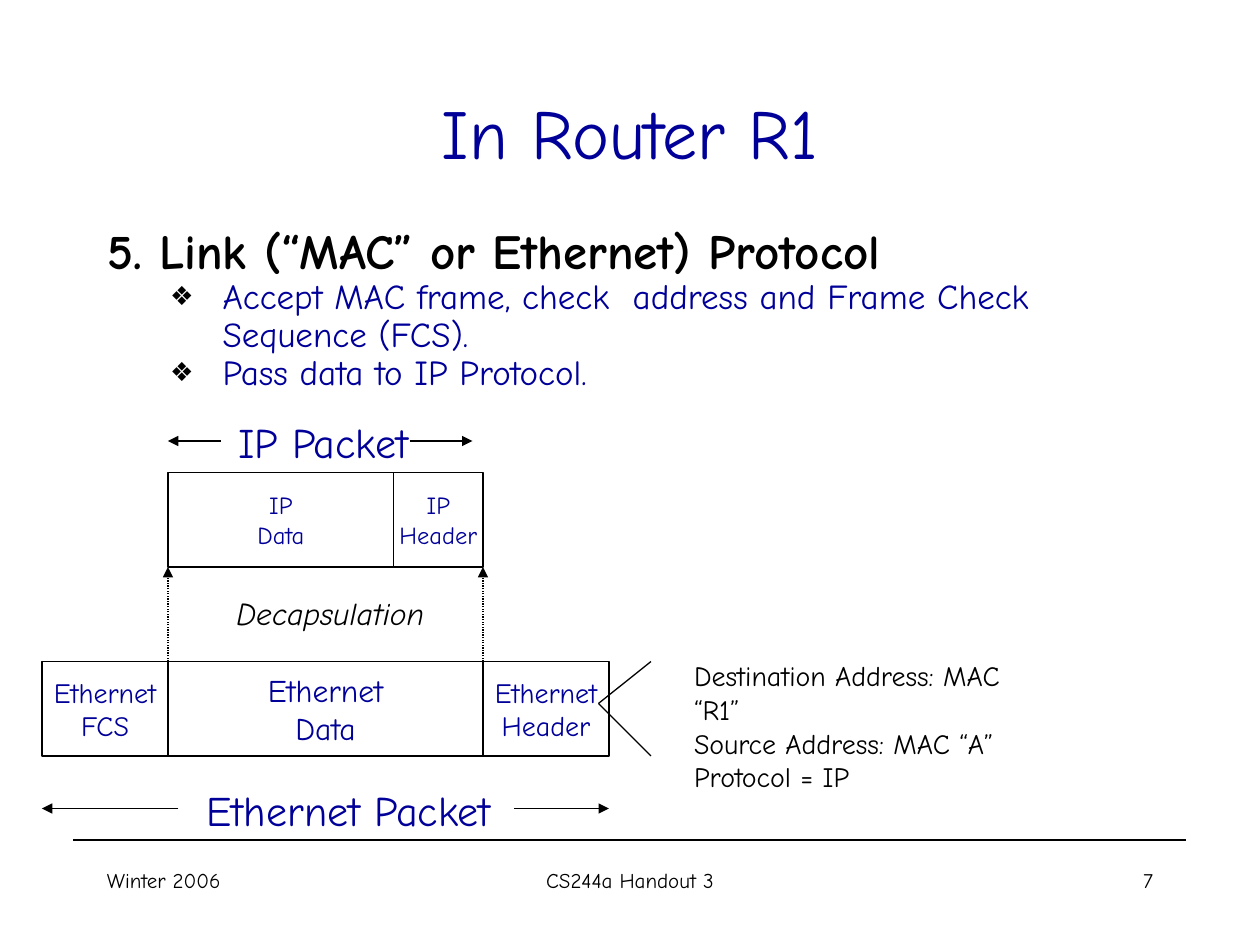
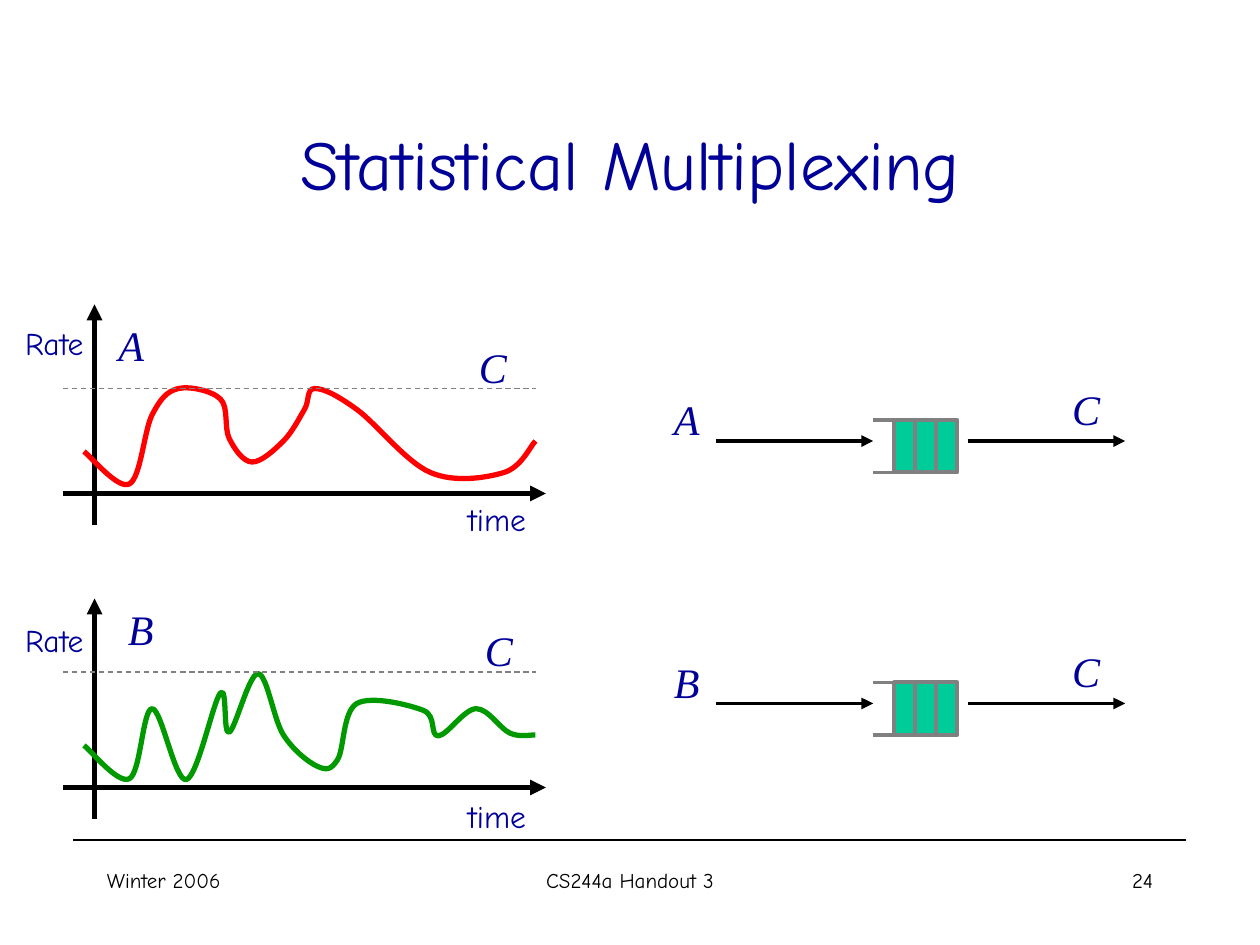
from dataclasses import dataclass

from lxml import etree
from pptx import Presentation
from pptx.dml.color import RGBColor
from pptx.enum.dml import MSO_LINE
from pptx.enum.shapes import MSO_CONNECTOR, MSO_SHAPE
from pptx.enum.text import MSO_ANCHOR, MSO_AUTO_SIZE, PP_ALIGN
from pptx.oxml.ns import qn
from pptx.util import Pt

LEFT, CENTER, RIGHT = PP_ALIGN.LEFT, PP_ALIGN.CENTER, PP_ALIGN.RIGHT
MIDDLE = MSO_ANCHOR.MIDDLE
NO_FIT, GROW = MSO_AUTO_SIZE.NONE, MSO_AUTO_SIZE.SHAPE_TO_FIT_TEXT
STRAIGHT, RECT = MSO_CONNECTOR.STRAIGHT, MSO_SHAPE.RECTANGLE
DASH, DOT = MSO_LINE.DASH, MSO_LINE.ROUND_DOT
TITLE_AND_BODY, TITLE_ONLY = 1, 5


@dataclass(frozen=True)
class Theme:
    font: str = "Comic Neue"
    math_font: str = "Times New Roman"
    ink: RGBColor = RGBColor(0, 0, 0)
    navy: RGBColor = RGBColor(0, 0, 0x99)
    white: RGBColor = RGBColor(255, 255, 255)
    gray: RGBColor = RGBColor(0x80, 0x80, 0x80)
    teal: RGBColor = RGBColor(0, 0xCC, 0x99)
    red: RGBColor = RGBColor(255, 0, 0)
    green: RGBColor = RGBColor(0, 0x99, 0)
    title: int = 40
    heading: int = 28
    label: int = 24
    bullet: int = 20
    text: int = 18
    detail: int = 16
    small: int = 14
    footer: int = 12
    thin: float = 0.75
    medium: float = 2.25
    thick: float = 3


T = Theme()


def set_font(p, size, color, **extra):
    values = {"name": T.font, "size": Pt(size), "bold": False, **extra}
    for r in p.runs:
        for name, value in values.items():
            setattr(r.font, name, value)
        r.font.color.rgb = color


def write(tf, lines, size, color=T.navy, align=LEFT, **extra):
    for i, line in enumerate(lines):
        p = tf.add_paragraph() if i else tf.paragraphs[0]
        p.text, p.alignment = line, align
        set_font(p, size, color, **extra)


def place(sp, box):
    for name, value in zip(("left", "top", "width", "height"), box):
        setattr(sp, name, Pt(value))


def add_label(slide, box, lines, size, wrap=False, **style):
    tf = slide.shapes.add_textbox(*map(Pt, box)).text_frame
    tf.word_wrap = wrap
    tf.auto_size = NO_FIT if wrap else GROW
    write(tf, lines, size, **style)


def add_symbol(slide, left, top, letter):
    add_label(slide, (left, top, 29, 36), [letter], T.label,
              name=T.math_font, italic=True)


def add_line(shapes, start, end, color=T.ink, weight=T.thin, arrow=False,
             dash=None):
    """Draw a straight line, with any arrowhead at its end point."""
    c = shapes.add_connector(STRAIGHT, *map(Pt, start + end))
    c.line.color.rgb, c.line.width = color, Pt(weight)
    if dash:
        c.line.dash_style = dash
    if arrow:
        etree.SubElement(c.line._get_or_add_ln(), qn("a:tailEnd"),
                         type="triangle")
    etree.SubElement(c._element.spPr, qn("a:effectLst"))


def add_rect(shapes, box, fill, line, weight):
    sp = shapes.add_shape(RECT, *map(Pt, box))
    sp.shadow.inherit = False
    sp.fill.solid()
    sp.fill.fore_color.rgb = fill
    sp.line.color.rgb, sp.line.width = line, Pt(weight)
    return sp


def smooth(sp):
    """Turn the straight segments of a freeform into one Catmull-Rom curve."""
    path = sp._element.find(".//" + qn("a:path"))
    knots = [(int(pt.get("x")), int(pt.get("y")))
             for pt in path.iter(qn("a:pt"))]
    padded = [knots[0], *knots, knots[-1]]
    for i, segment in enumerate(path.findall(qn("a:lnTo"))):
        before, start, end, after = padded[i:i + 4]
        curve = etree.Element(qn("a:cubicBezTo"))
        handles = ([s + (e - b) / 6 for b, s, e in zip(before, start, end)],
                   [e - (a - s) / 6 for s, e, a in zip(start, end, after)])
        for x, y in (*handles, end):
            etree.SubElement(curve, qn("a:pt"), x=str(round(x)),
                             y=str(round(y)))
        path.replace(segment, curve)


def add_curve(slide, left, top, knots, color):
    points = [(Pt(left + x), Pt(top + y)) for x, y in knots]
    builder = slide.shapes.build_freeform(*points[0], scale=1.0)
    builder.add_line_segments(points[1:], close=False)
    sp = builder.convert_to_shape()
    sp.shadow.inherit = False
    sp.fill.background()
    sp.line.color.rgb, sp.line.width = color, Pt(T.thick)
    smooth(sp)


def add_slide(prs, layout, title, title_top, number):
    """Add a slide with its title, footer rule and footer texts."""
    slide = prs.slides.add_slide(prs.slide_layouts[layout])
    sp = slide.shapes.title
    place(sp, (54, title_top, 612, 90))
    tf = sp.text_frame
    tf.auto_size, tf.vertical_anchor = NO_FIT, MIDDLE
    write(tf, [title], T.title, align=CENTER)
    add_line(slide.shapes, (42, 480), (678, 480))
    for left, width, text, align in ((54, 150, "Winter 2006", LEFT),
                                     (246, 228, "CS244a Handout 3", CENTER),
                                     (516, 150, number, RIGHT)):
        add_label(slide, (left, 492, width, 36), [text], T.footer, wrap=True,
                  color=T.ink, align=align)
    return slide


def add_bullet(p, margin, hanging, mark=None):
    pPr = p._p.get_or_add_pPr()
    pPr.set("marL", str(Pt(margin)))
    pPr.set("indent", str(-Pt(hanging)))
    if not mark:
        etree.SubElement(pPr, qn("a:buNone"))
        return
    color = etree.SubElement(pPr, qn("a:buClr"))
    etree.SubElement(color, qn("a:srgbClr"), val=str(T.ink))
    etree.SubElement(pPr, qn("a:buSzPct"), val="75000")
    etree.SubElement(pPr, qn("a:buChar"), char=mark)


def fill_body(sp, box, heading, bullets):
    place(sp, box)
    tf = sp.text_frame
    tf.auto_size = NO_FIT
    for i, line in enumerate([heading, *bullets]):
        p = tf.add_paragraph() if i else tf.paragraphs[0]
        p.text = line
        if i:
            p.level = 1
            add_bullet(p, 66, 30, "❖")
            set_font(p, T.bullet, T.navy)
        else:
            add_bullet(p, 42, 42)
            set_font(p, T.heading, T.ink, bold=True)
        p.line_spacing, p.space_before = 0.9, Pt(0)


def packet(slide, left, top, cells):
    for width, lines, size in cells:
        sp = add_rect(slide.shapes, (left, top, width, 54), T.white, T.ink,
                      T.thin)
        tf = sp.text_frame
        tf.word_wrap, tf.vertical_anchor = False, MIDDLE
        write(tf, lines, size, align=CENTER)
        left += width


def extent(slide, y, left, right, label, label_left, label_width):
    """Name a packet between two arrows; left and right are (start, tip)."""
    add_label(slide, (label_left, y - 17.5, label_width, 36), [label], T.label)
    for start, tip in (left, right):
        add_line(slide.shapes, (start, y), (tip, y), arrow=True)


def decapsulation(slide, left, top):
    ip_left, ip_top, frame_top = left + 72, top + 36, top + 144
    extent(slide, top + 18, (left + 102, ip_left), (left + 210, left + 246),
           "IP Packet", left + 105, 113)
    packet(slide, ip_left, ip_top, [(129, ["IP", "Data"], T.small),
                                    (51, ["IP", "Header"], T.small)])
    packet(slide, left, frame_top,
           [(72, ["Ethernet", "FCS"], T.detail),
            (180, ["Ethernet", "Data"], T.text),
            (72, ["Ethernet", "Header"], T.detail)])
    for x in (ip_left, ip_left + 180):
        add_line(slide.shapes, (x, frame_top), (x, ip_top + 54), arrow=True,
                 dash=DOT)
    add_label(slide, (left + 104, top + 102, 122, 29), ["Decapsulation"],
              T.text, color=T.ink, italic=True)
    extent(slide, top + 228, (left + 78, left), (left + 270, left + 324),
           "Ethernet Packet", left + 87, 178)
    for y in (frame_top, frame_top + 54):
        add_line(slide.shapes, (left + 318, frame_top + 24), (left + 348, y))
    add_label(slide, (left + 365.5, frame_top - 5, 220, 65),
              ["Destination Address: MAC “R1”", "Source Address: MAC “A”",
               "Protocol = IP"], T.detail, color=T.ink)


def rate_graph(slide, left, top, source, knots, color, cap, source_x, cap_x,
               drop):
    """Plot a source's rate; cap is the depth of the capacity line."""
    shapes = slide.shapes
    axis = {"weight": T.thick, "arrow": True}
    add_line(shapes, (left + 18, top + 126), (left + 18, top), **axis)
    add_line(shapes, (left, top + 108), (left + 276, top + 108), **axis)
    add_curve(slide, left, top, knots, color)
    add_line(shapes, (left, top + cap), (left + 270, top + cap), T.gray,
             dash=DASH)
    add_symbol(slide, left + source_x, top + cap - 42.7, source)
    add_symbol(slide, left + cap_x, top + cap - 30.5, "C")
    for dx, dy, text in ((224, 108, "time"), (-29, 7.5, "Rate")):
        add_label(slide, (left + dx, top + dy + drop, 48, 29), [text], T.text,
                  align=CENTER)


def queue_flow(slide, left, middle, source):
    for start, end in ((31, 121), (175, 265)):
        add_line(slide.shapes, (left + start, middle), (left + end, middle),
                 weight=T.medium, arrow=True)
    group = slide.shapes.add_group_shape().shapes
    for i in range(3):
        add_rect(group, (left + 133 + 12 * i, middle - 12, 12, 30), T.teal,
                 T.gray, T.medium)
    for y in (middle - 12, middle + 18):
        add_line(group, (left + 121, y), (left + 145, y), T.gray, T.medium)
    add_symbol(slide, left, middle - 30.5, source)
    add_symbol(slide, left + 227.5, middle - 36.5, "C")


RATE_A = [(12, 84), (38, 102.5), (51, 63), (66, 48), (90, 54), (95, 76.5),
          (108, 90), (126, 78), (138, 60), (144, 48), (168, 60), (210, 96),
          (252, 96), (270, 78)]
RATE_B = [(12, 84), (38, 103), (51, 63), (70.5, 103.5), (90, 54), (95, 76.5),
          (111.5, 43), (126, 78), (145.5, 96), (157, 92), (168, 60),
          (206, 64), (214.5, 78.5), (236, 63), (255.5, 77), (270, 78)]


def router_slide(prs):
    slide = add_slide(prs, TITLE_AND_BODY, "In Router R1", 30, "7")
    fill_body(slide.placeholders[1], (54, 126, 612, 108),
              "5. Link (“MAC” or Ethernet) Protocol",
              ["Accept MAC frame, check  address and Frame Check "
               "Sequence (FCS).", "Pass data to IP Protocol."])
    decapsulation(slide, 24, 234)


def multiplexing_slide(prs):
    slide = add_slide(prs, TITLE_ONLY, "Statistical Multiplexing", 48, "24")
    rate_graph(slide, 36, 174, "A", RATE_A, T.red, cap=48, source_x=24.5,
               cap_x=230.5, drop=0)
    rate_graph(slide, 36, 342, "B", RATE_B, T.green, cap=42, source_x=30,
               cap_x=234, drop=2)
    queue_flow(slide, 378, 252, "A")
    queue_flow(slide, 378, 402, "B")


def main():
    prs = Presentation()
    prs.slide_width, prs.slide_height = Pt(720), Pt(540)
    router_slide(prs)
    multiplexing_slide(prs)
    prs.save("out.pptx")


if __name__ == "__main__":
    main()
